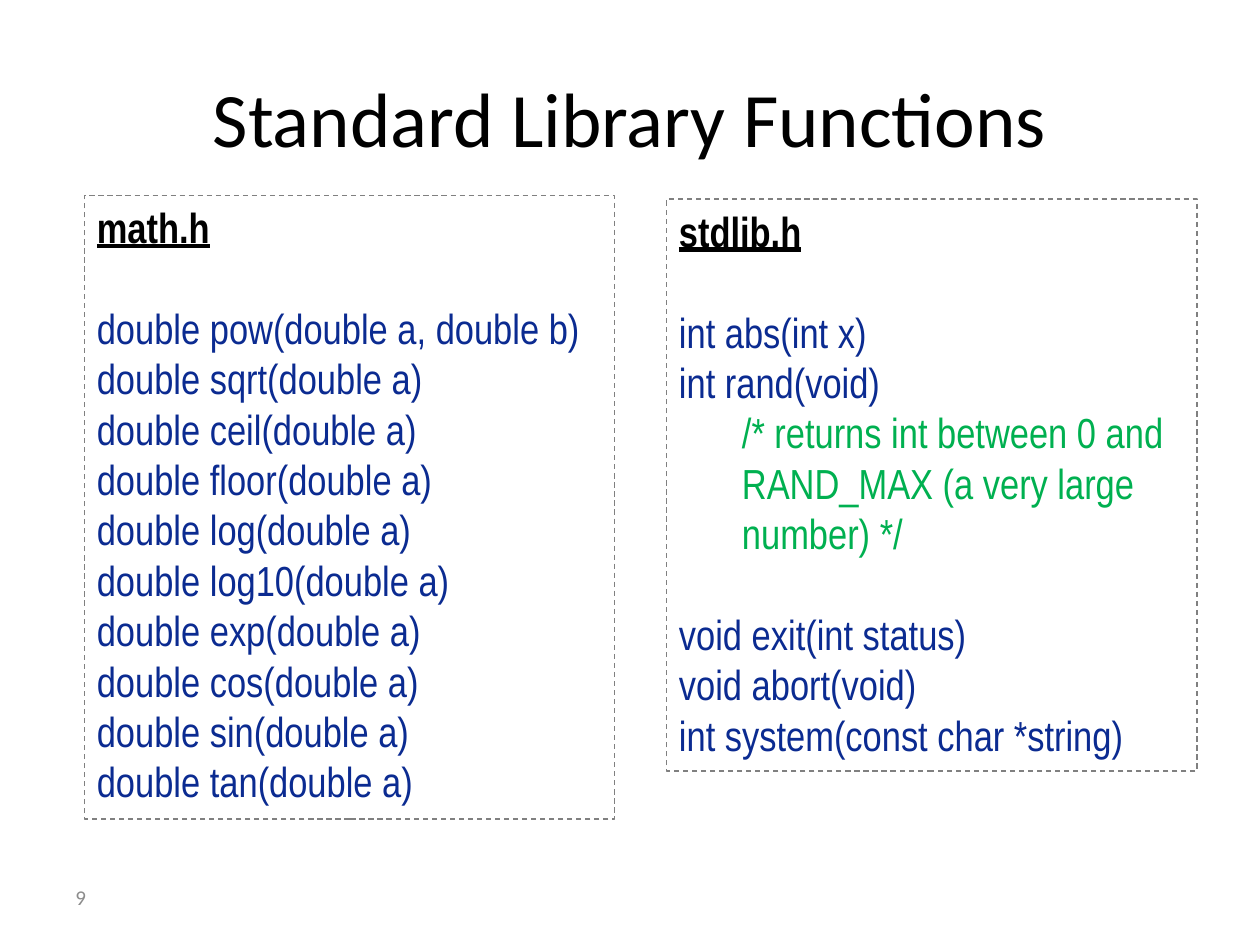
from dataclasses import dataclass
from pptx import Presentation
from pptx.dml.color import RGBColor
from pptx.enum.dml import MSO_LINE
from pptx.enum.shapes import MSO_SHAPE
from pptx.enum.text import MSO_ANCHOR, MSO_AUTO_SIZE, PP_ALIGN
from pptx.util import Inches, Pt

RECT = MSO_SHAPE.RECTANGLE
DASH = MSO_LINE.DASH
TOP, MID = MSO_ANCHOR.TOP, MSO_ANCHOR.MIDDLE
LEFT, MIDDLE = PP_ALIGN.LEFT, PP_ALIGN.CENTER
GROW = MSO_AUTO_SIZE.SHAPE_TO_FIT_TEXT


@dataclass(frozen=True)
class Theme:
    ink: str = "000000"
    code: str = "0B2B91"
    note: str = "00B050"
    edge: str = "808080"
    page: str = "8C8C8C"
    sans: str = "Calibri"
    slim: str = "Arial Narrow"
    big: int = 44
    body: int = 24
    small: int = 12


theme = Theme()


def add_run(para, text, size, face, color, head=False):
    run = para.add_run()
    run.text = text
    font = run.font
    font.size = Pt(size)
    font.name = face
    font.color.rgb = RGBColor.from_string(color)
    font.bold = font.underline = head


deck = Presentation()
deck.slide_width, deck.slide_height = Inches(10), Inches(7.5)
slide = deck.slides.add_slide(deck.slide_layouts[6])

labels = [
    ("Standard Library Functions", (0.5, 0.3, 9, 1.25), theme.big, theme.ink, MIDDLE),
    ("9", (0.5, 6.92, 2.33, 0.4), theme.small, theme.page, LEFT),
]
for text, area, size, color, align in labels:
    frame = slide.shapes.add_textbox(*map(Inches, area)).text_frame
    frame.word_wrap = True
    frame.vertical_anchor = MID
    para = frame.paragraphs[0]
    para.alignment = align
    add_run(para, text, size, theme.sans, color)

math_calls = ["double pow(double a, double b)"] + [
    f"double {name}(double a)"
    for name in ("sqrt", "ceil", "floor", "log", "log10", "exp", "cos", "sin", "tan")
]
std_calls = [
    "int abs(int x)",
    "int rand(void)",
    "/* returns int between 0 and RAND_MAX (a very large number) */",
    "void exit(int status)",
    "void abort(void)",
    "int system(const char *string)",
]
panels = [
    ("math.h", math_calls, 0.67, 1.55, 4.95),
    ("stdlib.h", std_calls, 5.29, 1.58, 4.54),
]
wide, gap, indent = Inches(4.21), Inches(0.4), Inches(0.5)

for title, calls, left, top, high in panels:
    box = slide.shapes.add_shape(RECT, Inches(left), Inches(top), wide, Inches(high))
    box.shadow.inherit = False
    box.fill.background()
    box.line.color.rgb = RGBColor.from_string(theme.edge)
    box.line.width = Pt(0.75)
    box.line.dash_style = DASH
    frame = box.text_frame
    frame.word_wrap = True
    frame.auto_size = GROW
    frame.vertical_anchor = TOP
    para = frame.paragraphs[0]
    para.alignment = LEFT
    add_run(para, title, theme.body, theme.slim, theme.ink, True)
    space = True
    for call in calls:
        note = call.startswith("/*")
        para = frame.add_paragraph()
        para.alignment = LEFT
        if space:
            para.space_before = gap
        if note:
            para.level = 1
            props = para._p.get_or_add_pPr()
            props.set("marL", str(indent))
            props.set("indent", "0")
        color = theme.note if note else theme.code
        add_run(para, call, theme.body, theme.slim, color)
        space = note

deck.save("out.pptx")
